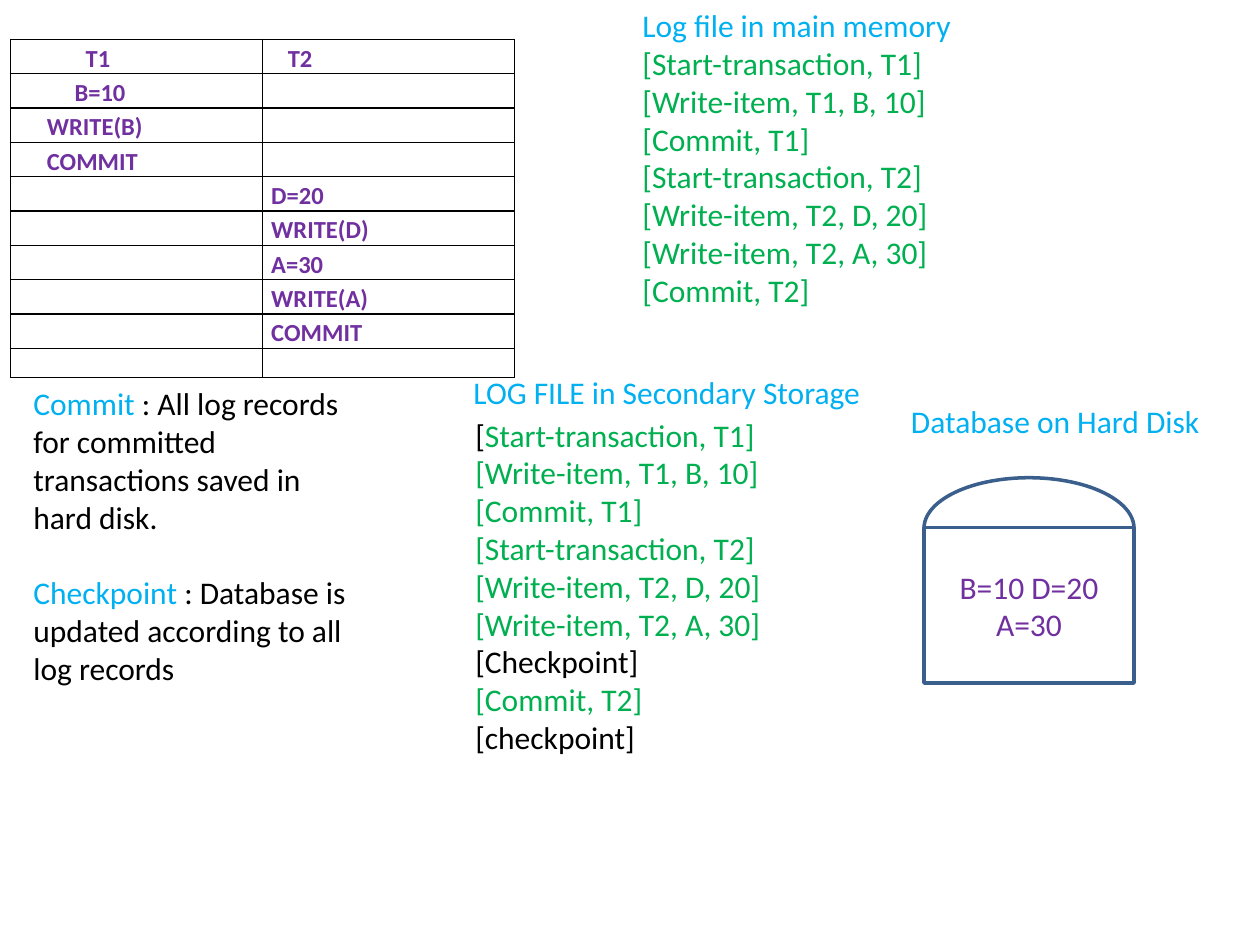
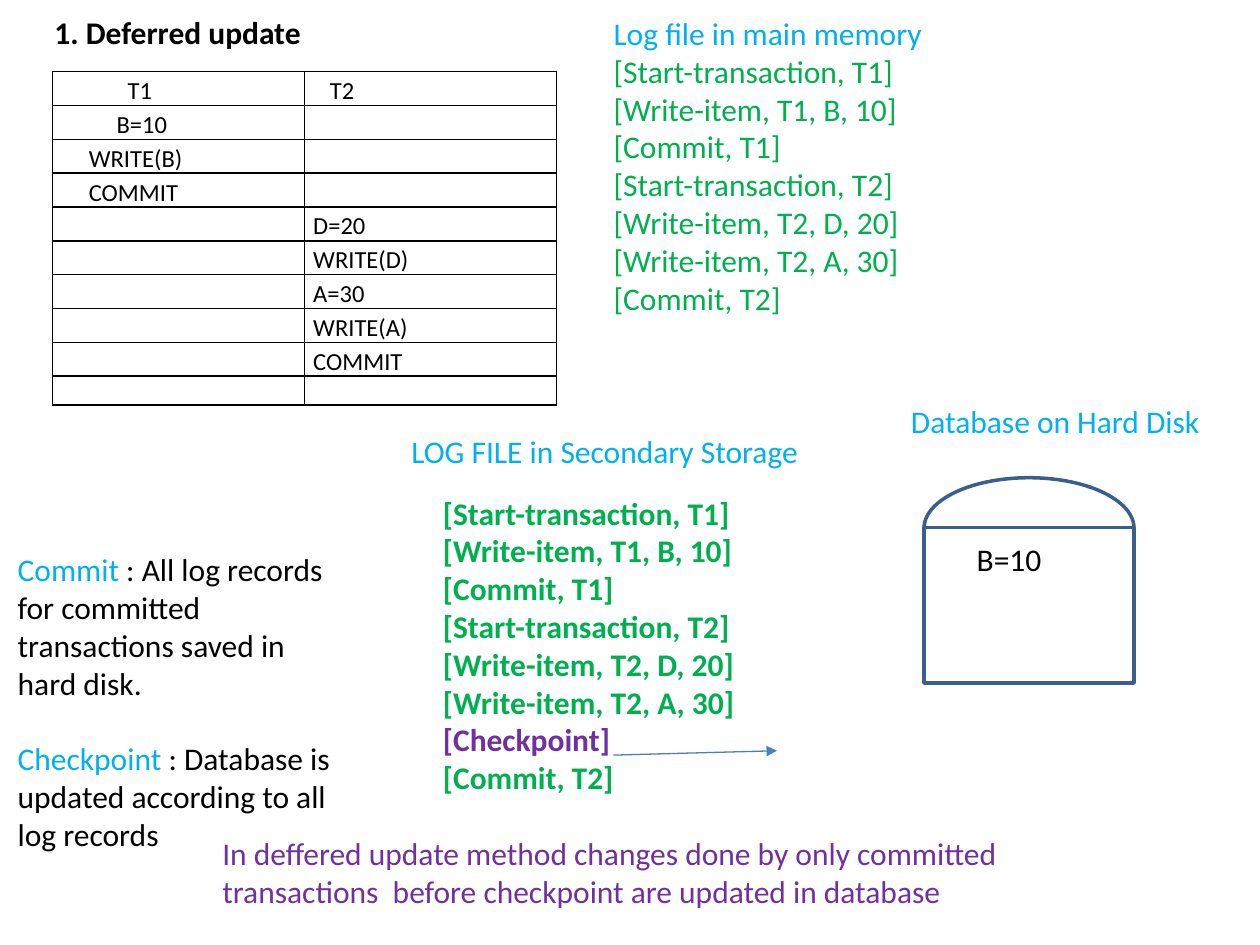
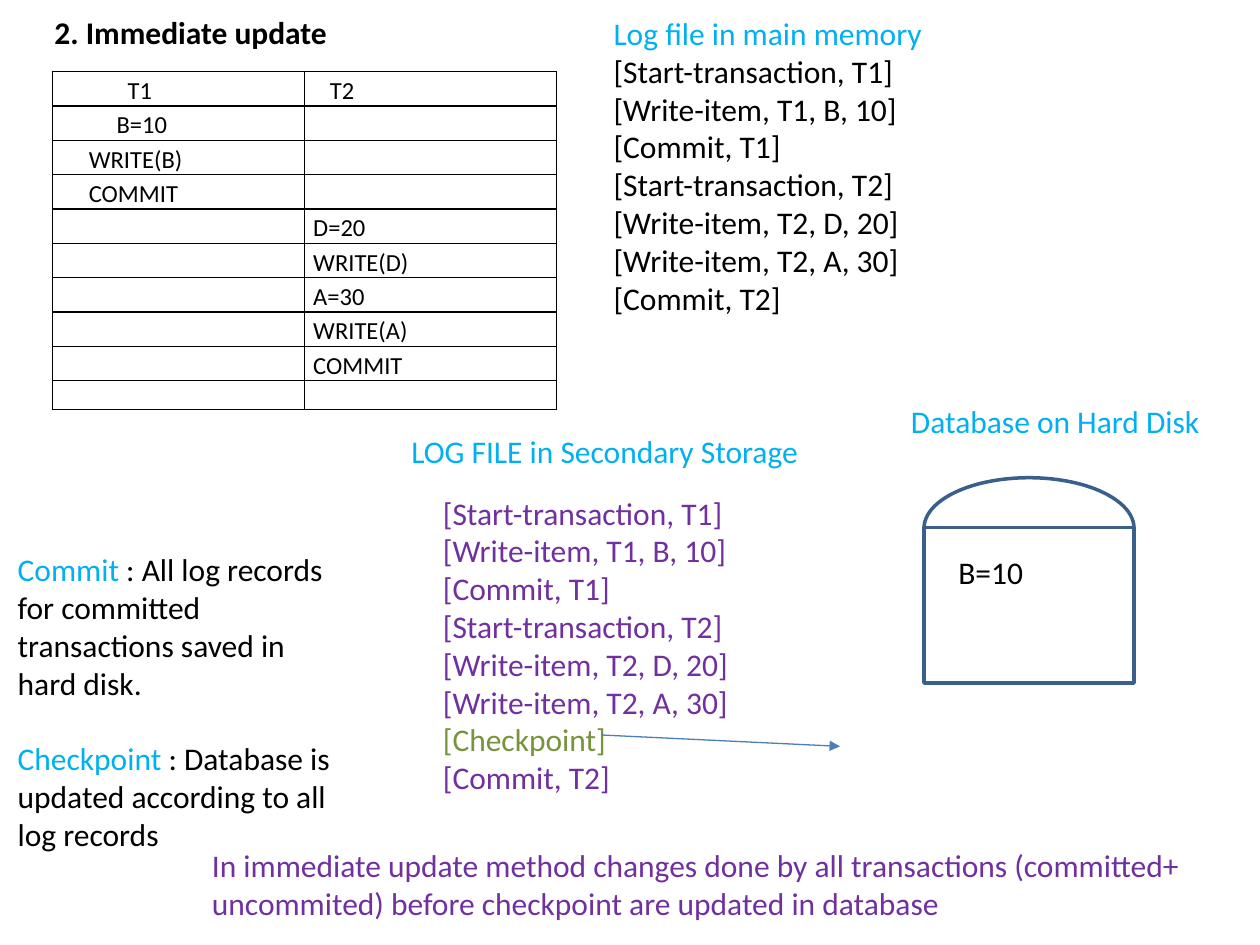
from lxml.etree import SubElement
from pptx import Presentation
from pptx.dml.color import RGBColor
from pptx.enum.shapes import MSO_CONNECTOR, MSO_SHAPE
from pptx.enum.text import MSO_ANCHOR, MSO_AUTO_SIZE, PP_ALIGN
from pptx.oxml.ns import qn
from pptx.util import Pt

FONT = "Calibri"
HEX = {
    "black": "000000", "white": "FFFFFF", "blue": "00B0F0",
    "green": "00B050", "purple": "7030A0", "olive": "77933C",
    "edge": "3A5F8C", "arrow": "4B7EBC",
}

# Left and right steps of the schedule, each with its indent in points
STEPS = [
    (("T1", 38), ("T2", 9.5)),
    (("B=10", 31.6), None),
    (("WRITE(B)", 15.8), None),
    (("COMMIT", 15.8), None),
    (None, ("D=20", 0)),
    (None, ("WRITE(D)", 0)),
    (None, ("A=30", 0)),
    (None, ("WRITE(A)", 0)),
    (None, ("COMMIT", 0)),
    (None, None),
]
ROWS = [14.4, 15.8, 14.4] + [16.6] * 7
COL = 144

LOG = [
    "[Start-transaction, T1]", "[Write-item, T1, B, 10]", "[Commit, T1]",
    "[Start-transaction, T2]", "[Write-item, T2, D, 20]",
    "[Write-item, T2, A, 30]", "[Commit, T2]",
]
SAVED = LOG[:-1] + ["[Checkpoint]", LOG[-1]]
TERMS = [
    [("Commit", "blue"),
     " : All log records for committed transactions saved in hard disk."],
    [("Checkpoint", "blue"),
     " : Database is updated according to all log records"],
]
MEMORY = "Log file in main memory"
STORE = "LOG FILE in Secondary Storage"
DISK = "Database on Hard Disk"

# Boxes are left, top, width, height
DISK_AT = (513.5, 226, 188.5, 29)
LID = (528, 273, 120, 57.6)
BODY = (528, 301.5, 120, 88.8)
HEAD_AT = (24, 3.6, 354, 29)
BASE = {
    "table": (30, 41), "memory": (343.5, 4.5, 264, 181.5),
    "store": (228, 243.5, 252, 29), "saved": (246, 278.5, 198, 247),
    "terms": (3, 311, 204, 181.5),
}
SLIDES = [
    {
        "table": (6, 22.5), "step": "purple", "bold": True,
        "memory": (360, 0, 264, 269), "log": "green",
        "store": (263.5, 209.5, 252, 29), "saved": (264.5, 234, 198, 269),
        "lines": [["[", (SAVED[0][1:], "green")]]
        + [[(line, "green")] for line in SAVED[1:6]]
        + [[SAVED[6]], [(SAVED[7], "green")], ["[checkpoint]"]],
        "terms": (12, 216, 204, 181.5), "data": "B=10 D=20 A=30",
    },
    BASE | {
        "head": "1. Deferred update", "log": "green",
        "lines": [[(line, "purple" if line == "[Checkpoint]" else "green")]
                  for line in SAVED],
        "strong": True, "value": (551, 305, 60, 29),
        "note": "In deffered update method changes done by only committed "
                "transactions  before checkpoint are updated in database",
        "note_at": (120, 473, 462, 51), "arrow": (350.5, 431.5, 444, 429),
    },
    BASE | {
        "head": "2. Immediate update", "log": "black",
        "lines": [[(line, "olive" if line == "[Checkpoint]" else "purple")]
                  for line in SAVED],
        "value": (540.5, 312.5, 60, 29),
        "note": "In immediate update method changes done by all transactions "
                "(committed+ uncommited) before checkpoint are updated in "
                "database",
        "note_at": (114, 480, 588, 51), "arrow": (343.5, 420, 480, 426.5),
    },
]


def rgb(name):
    return RGBColor.from_string(HEX[name])


def write(frame, paras, color="black", size=18, bold=False, align=None,
          gap=0, lead=None):
    """Fill a frame; a paragraph is a string or a list of runs, and a run is
    a string or a pair of text and colour."""
    for i, runs in enumerate(paras):
        para = frame.add_paragraph() if i else frame.paragraphs[0]
        para.alignment, para.line_spacing = align, lead
        if i and gap:
            para.space_before = Pt(gap)
        for part in [runs] if isinstance(runs, str) else runs:
            text, tint = (part, color) if isinstance(part, str) else part
            run = para.add_run()
            run.text = text
            run.font.name, run.font.size = FONT, Pt(size)
            run.font.bold = bold
            run.font.color.rgb = rgb(tint)


def label(slide, box, paras, **style):
    frame = slide.shapes.add_textbox(*map(Pt, box)).text_frame
    frame.word_wrap = True
    frame.auto_size = MSO_AUTO_SIZE.SHAPE_TO_FIT_TEXT
    write(frame, paras, **style)


def border(cell):
    props = cell._tc.get_or_add_tcPr()
    for side in ("a:lnL", "a:lnR", "a:lnT", "a:lnB"):
        line = SubElement(props, qn(side), w=str(Pt(1)))
        fill = SubElement(line, qn("a:solidFill"))
        SubElement(fill, qn("a:srgbClr"), val=HEX["black"])


def schedule(slide, spot, color, bold):
    box = (*spot, 2 * COL, sum(ROWS))
    table = slide.shapes.add_table(len(STEPS), 2, *map(Pt, box)).table
    table.first_row = table.horz_banding = False
    for col in table.columns:
        col.width = Pt(COL)
    for row, high, steps in zip(table.rows, ROWS, STEPS):
        row.height = Pt(high)
        for cell, step in zip(row.cells, steps):
            border(cell)
            cell.fill.background()
            cell.margin_left = cell.margin_right = Pt(5)
            cell.margin_top = cell.margin_bottom = 0
            if step:
                text, indent = step
                cell.margin_left = Pt(5 + indent)
                write(cell.text_frame, [text], color=color, size=14,
                      bold=bold, lead=1.15)
            else:
                para = cell.text_frame.paragraphs[0]
                SubElement(para._p, qn("a:endParaRPr"), sz="1200")


def solid(slide, kind, box):
    shape = slide.shapes.add_shape(kind, *map(Pt, box))
    shape.shadow.inherit = False
    shape.fill.solid()
    shape.fill.fore_color.rgb = rgb("white")
    shape.line.color.rgb = rgb("edge")
    shape.line.width = Pt(2)
    return shape


def arrow(slide, ends):
    link = slide.shapes.add_connector(MSO_CONNECTOR.STRAIGHT, *map(Pt, ends))
    link.line.color.rgb = rgb("arrow")
    link.line.width = Pt(0.75)
    SubElement(link.line._get_or_add_ln(), qn("a:tailEnd"), type="triangle")
    SubElement(link._element.spPr, qn("a:effectLst"))


def build(slide, page):
    schedule(slide, page["table"], page.get("step", "black"),
             page.get("bold", False))
    label(slide, page["saved"], page["lines"], bold=page.get("strong", False))
    label(slide, DISK_AT, [DISK], color="blue")
    solid(slide, MSO_SHAPE.OVAL, LID)
    body = solid(slide, MSO_SHAPE.RECTANGLE, BODY)
    if "data" in page:
        frame = body.text_frame
        frame.word_wrap = True
        frame.vertical_anchor = MSO_ANCHOR.MIDDLE
        write(frame, [page["data"]], color="purple", align=PP_ALIGN.CENTER)
    label(slide, page["memory"], [[(MEMORY, "blue")]] + LOG,
          color=page["log"])
    label(slide, page["store"], [STORE], color="blue")
    label(slide, page["terms"], TERMS, gap=21.6)
    if "head" in page:
        label(slide, HEAD_AT, [page["head"]], bold=True)
        label(slide, page["note_at"], [page["note"]], color="purple")
        arrow(slide, page["arrow"])
        label(slide, page["value"], ["B=10"])


def main():
    deck = Presentation()
    deck.slide_width, deck.slide_height = Pt(720), Pt(540)
    for page in SLIDES:
        build(deck.slides.add_slide(deck.slide_layouts[6]), page)
    deck.save("out.pptx")


if __name__ == "__main__":
    main()
